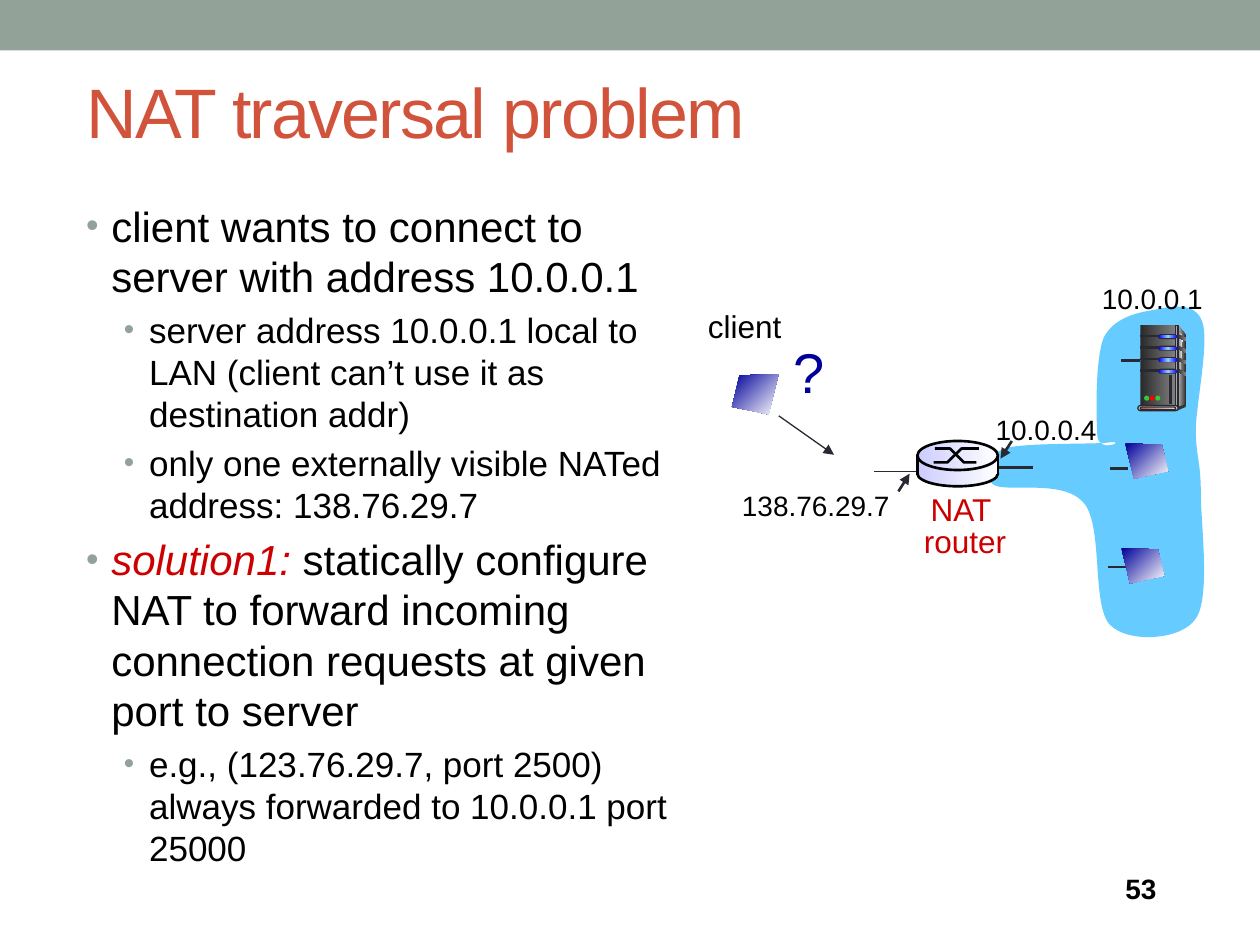
from copy import deepcopy

from lxml import etree
from pptx import Presentation
from pptx.dml.color import RGBColor
from pptx.enum.shapes import MSO_CONNECTOR, MSO_SHAPE
from pptx.enum.text import MSO_ANCHOR, PP_ALIGN
from pptx.oxml.ns import qn
from pptx.util import Pt

RECT, OVAL, PILL = MSO_SHAPE.RECTANGLE, MSO_SHAPE.OVAL, MSO_SHAPE.ROUNDED_RECTANGLE
STRAIGHT = MSO_CONNECTOR.STRAIGHT
TOP, MIDDLE = MSO_ANCHOR.TOP, MSO_ANCHOR.MIDDLE
LEFT, CENTER = PP_ALIGN.LEFT, PP_ALIGN.CENTER
FONT = "Arial"

COLORS = {
    "sage": "93A299", "rust": "D2533C", "cream": "F3F2DC", "black": "000000",
    "white": "FFFFFF", "red": "CC0000", "navy": "000099", "ink": "292934",
    "sky": "66CCFF", "lilac": "CCCCFF", "silver": "DDDDDD", "pale": "F8F8F8",
    "gray": "808080", "dark": "333333", "coal": "292929", "blue": "0000FF",
    "ice": "99CCFF", "green": "33CC33", "signal": "FF0000",
}

TITLE = "NAT traversal problem"
BULLETS = [
    (0, [("client wants to connect to server with address 10.0.0.1", False)]),
    (1, [("server address 10.0.0.1 local to LAN (client can’t use it as destination addr)", False)]),
    (1, [("only one externally visible NATed address: 138.76.29.7", False)]),
    (0, [("solution1:", True),
         (" statically configure NAT to forward incoming connection requests at given port to server", False)]),
    (1, [("e.g., (123.76.29.7, port 2500) always forwarded to 10.0.0.1 port 25000", False)]),
]
LEVELS = [{"size": 24, "margin": 14.4}, {"size": 20, "margin": 36}]

LABELS = [
    ("10.0.0.1", (622.5, 157.5, 72.7, 26.6), 16, "black"),
    ("10.0.0.4", (561.8, 232.3, 72.7, 26.6), 16, "black"),
    ("138.76.29.7", (416.9, 275.8, 99.4, 26.6), 16, "black"),
    ("client", (397.4, 172.1, 56.2, 28.8), 18, "black"),
    ("?", (446.4, 189.4, 32.4, 45.4), 32, "navy"),
]
ROUTER_LABEL = "NAT \nrouter"

LAN_START = (573.8, 256.3)
LAN_CURVES = [
    ((585.4, 252.7), (626.4, 254.2), (635, 252.7)),
    ((643.7, 252), (627.8, 259.2), (627.1, 249.1)),
    ((626.4, 239), (625.7, 205.2), (630.7, 193)),
    ((636.5, 181.4), (650.2, 178.6), (659.5, 177.1)),
    ((668.9, 175), (682.6, 172.1), (686.9, 183.6)),
    ((691.2, 194.4), (684, 228.2), (683.3, 244.8)),
    ((683.3, 260.6), (686.2, 263.5), (686.2, 281.5)),
    ((686.2, 299.5), (691.9, 341.3), (683.3, 353.5)),
    ((675.4, 365.8), (645.1, 367.9), (634.3, 357.1)),
    ((623.5, 345.6), (630.7, 300.2), (619.2, 287.3)),
    ((607.7, 273.6), (575.3, 281.5), (568.1, 277.2)),
    ((560.2, 272.2), (563.8, 260.6), LAN_START),
]
WIRES = [
    ((640.8, 205.9), (651.6, 205.9), 1.5, False),
    ((632.9, 324), (645.8, 324), 1.5, False),
    ((634.3, 267.8), (644.4, 267.8), 1.5, False),
    ((499.7, 269.3), (531.4, 269.3), 0.75, False),
    ((569.5, 267.1), (590.4, 267.1), 1.5, False),
    ((578.2, 252), (571.7, 262.1), 1.5, True),
    ((513.4, 280.8), (519.8, 270.7), 1.5, True),
    ((445, 237.6), (476.6, 259.9), 0.75, True),
]
CLIENT_SCREEN = [(26.6, 0), (4.3, 0.7), (0, 18.7), (20.9, 23)]
HOST_SCREEN = [(0, 0), (20.9, 0.7), (24.5, 15.8), (5, 20.2)]
SCREENS = [(CLIENT_SCREEN, 418.3, 213.8), (HOST_SCREEN, 643, 253.4), (HOST_SCREEN, 640.8, 313.2)]

ROUTER_FILL = ["lilac", "white"]
ROUTER_CROSS = [
    [(533.5, 264.2), (541.4, 264.2), (549.4, 256.3), (559.4, 256.3)],
    [(534.2, 256.3), (542.9, 256.3), (550.8, 264.2), (558, 264.2)],
]
ROUTER_SIDES = [524.2, 570.2]

SIDE_PANEL = [(673.2, 185.8), (677.5, 191.5), (677.5, 231.1), (671.8, 233.3)]
SIDE_STRIP = [(673.2, 188.6), (676.1, 193), (674.2, 214), (673.2, 231.8)]
SIDE_FOOT = [(672.5, 232.6), (672.5, 234.7), (677.5, 232.6), (677.5, 231.1)]
SLIT = [(0, 0), (4.8, 2.2), (4.8, 4), (0, 1.6)]
DRAWERS, DRAWER_TOP, DRAWER_STEP = 4, 190.9, 6.6
LIGHTS = ["green", "signal", "green"]

prs = Presentation()
prs.slide_width, prs.slide_height = Pt(720), Pt(540)
slide = prs.slides.add_slide(prs.slide_layouts[6])
shapes = slide.shapes


def rgb(name):
    return RGBColor.from_string(COLORS[name])


def paint(shape, fill=None, line=None, width=0.75, angle=0):
    shape.shadow.inherit = False
    if fill is None:
        shape.fill.background()
    elif isinstance(fill, str):
        shape.fill.solid()
        shape.fill.fore_color.rgb = rgb(fill)
    else:
        shape.fill.gradient()
        shape.fill.gradient_angle = angle
        stop_list = shape._element.spPr.find(".//" + qn("a:gsLst"))
        for _ in fill[2:]:
            stop_list.append(deepcopy(stop_list[0]))
        for i, stop in enumerate(shape.fill.gradient_stops):
            stop.color.rgb = rgb(fill[i])
            stop.position = i / (len(fill) - 1)
    if line:
        shape.line.color.rgb = rgb(line)
        shape.line.width = Pt(width)
    else:
        shape.line.fill.background()


def block(kind, box, fill, line=None, width=0.75):
    shape = shapes.add_shape(kind, *map(Pt, box))
    if kind == PILL:
        shape.adjustments[0] = 0.5
    paint(shape, fill, line, width)


def outline(points, fill=None, line=None, width=0.75, angle=0, dx=0, dy=0):
    corners = [(Pt(x + dx), Pt(y + dy)) for x, y in points]
    builder = shapes.build_freeform(*corners[0])
    builder.add_line_segments(corners[1:], close=fill is not None)
    shape = builder.convert_to_shape()
    paint(shape, fill, line, width, angle)
    return shape


def bend(shape, curves):
    segments = list(shape._element.spPr.iter(qn("a:lnTo")))
    for segment, (first, second, _) in zip(segments, curves):
        curve = etree.Element(qn("a:cubicBezTo"))
        for x, y in (first, second):
            etree.SubElement(curve, qn("a:pt"), x=str(Pt(x) - shape.left), y=str(Pt(y) - shape.top))
        curve.append(deepcopy(segment[0]))
        segment.getparent().replace(segment, curve)


def connect(start, end, color, width, arrow=False):
    wire = shapes.add_connector(STRAIGHT, *map(Pt, start + end))
    wire.line.color.rgb = rgb(color)
    wire.line.width = Pt(width)
    if arrow:
        etree.SubElement(wire.line._get_or_add_ln(), qn("a:tailEnd"), type="triangle")
    etree.SubElement(wire._element.spPr, qn("a:effectLst"))


def style(font, size, color):
    font.name, font.size, font.color.rgb = FONT, Pt(size), rgb(color)


def write(text, box, size, color, wrap=False, anchor=TOP, align=LEFT, spacing=None):
    frame = shapes.add_textbox(*map(Pt, box)).text_frame
    frame.word_wrap, frame.vertical_anchor = wrap, anchor
    frame.text = text
    for paragraph in frame.paragraphs:
        paragraph.alignment, paragraph.line_spacing = align, spacing
        for run in paragraph.runs:
            style(run.font, size, color)
    return frame


def write_bullets(box):
    frame = shapes.add_textbox(*map(Pt, box)).text_frame
    frame.word_wrap = True
    for i, (level, parts) in enumerate(BULLETS):
        paragraph = frame.add_paragraph() if i else frame.paragraphs[0]
        size, margin = LEVELS[level]["size"], LEVELS[level]["margin"]
        paragraph.level = level
        props = paragraph._p.get_or_add_pPr()
        props.set("marL", str(Pt(margin)))
        props.set("indent", str(Pt(-14.4)))
        etree.SubElement(etree.SubElement(props, qn("a:buClr")), qn("a:srgbClr"), val=COLORS["sage"])
        etree.SubElement(props, qn("a:buSzPct"), val="85000")
        etree.SubElement(props, qn("a:buFont"), typeface=FONT)
        etree.SubElement(props, qn("a:buChar"), char="•")
        if i:
            paragraph.space_before = Pt(size * 0.2)
        for text, stressed in parts:
            run = paragraph.add_run()
            run.text = text
            style(run.font, size, "red" if stressed else "black")
            run.font.italic = stressed


def draw_router():
    block(OVAL, (524.2, 263.5, 46, 14.4), ROUTER_FILL, "black", 1.5)
    block(RECT, (524.2, 262.1, 46, 8.6), ROUTER_FILL)
    block(OVAL, (524.2, 252, 46, 16.6), ROUTER_FILL, "black", 1.5)
    for strand in ROUTER_CROSS:
        outline(strand, line="black", width=1.5)
    for x in ROUTER_SIDES:
        connect((x, 260.3), (x, 271.4), "black", 1.5)


def draw_server():
    outline(SIDE_PANEL, ["silver", "dark"])
    block(RECT, (651.6, 185.8, 20.2, 46.8), ["coal", "gray"])
    outline(SIDE_STRIP, ["gray", "pale"])
    block(RECT, (671.8, 185.8, 1.4, 46.8), ["dark", "silver", "dark"], "ink")
    for i in range(DRAWERS):
        y = DRAWER_TOP + i * DRAWER_STEP
        block(RECT, (651.9, y + 0.7, 11.5, 0.7), "ink", "ink")
        block(PILL, (661.7, y, 10.8, 2.9), "ink")
        block(PILL, (662.2, y + 0.5, 10.6, 2), ["blue", "ice", "blue"])
        outline(SLIT, ["coal", "gray"], dx=672.7, dy=y)
    block(OVAL, (676.8, 230.4, 0.7, 2.2), "dark")
    outline(SIDE_FOOT, "dark")
    block(PILL, (650.2, 231.8, 23, 2.9), "silver", "ink")
    block(PILL, (651.6, 232.6, 20.2, 1.4), ["rust", "cream"], "ink")
    for i, color in enumerate(LIGHTS):
        block(OVAL, (653.8 + i * 3.2, 226.1, 2.9, 2.9), color)
    block(RECT, (668.2, 214.6, 1.4, 15.8), "coal", "ink")


block(RECT, (0, 0, 720, 28.8), "sage")
title = write(TITLE, (42.2, 18, 612, 90), 40, "rust", wrap=True, anchor=MIDDLE)
title.paragraphs[0].runs[0].font._element.set("spc", "-100")
write_bullets((42.1, 110.9, 359.3, 406))
bend(outline([LAN_START] + [curve[-1] for curve in LAN_CURVES], "sky"), LAN_CURVES)
for label in LABELS:
    write(*label)
write(ROUTER_LABEL, (520.9, 279.8, 61.2, 43.9), 18, "red", align=CENTER, spacing=0.85)
for start, end, width, arrow in WIRES:
    connect(start, end, "ink", width, arrow)
draw_router()
for screen, x, y in SCREENS:
    outline(screen, ["navy", "white"], angle=315, dx=x, dy=y)
draw_server()
page = write("53", (636, 494.6, 56.9, 25.9), 16, "black", wrap=True, anchor=MIDDLE)
page.paragraphs[0].runs[0].font.bold = True
prs.save("out.pptx")
